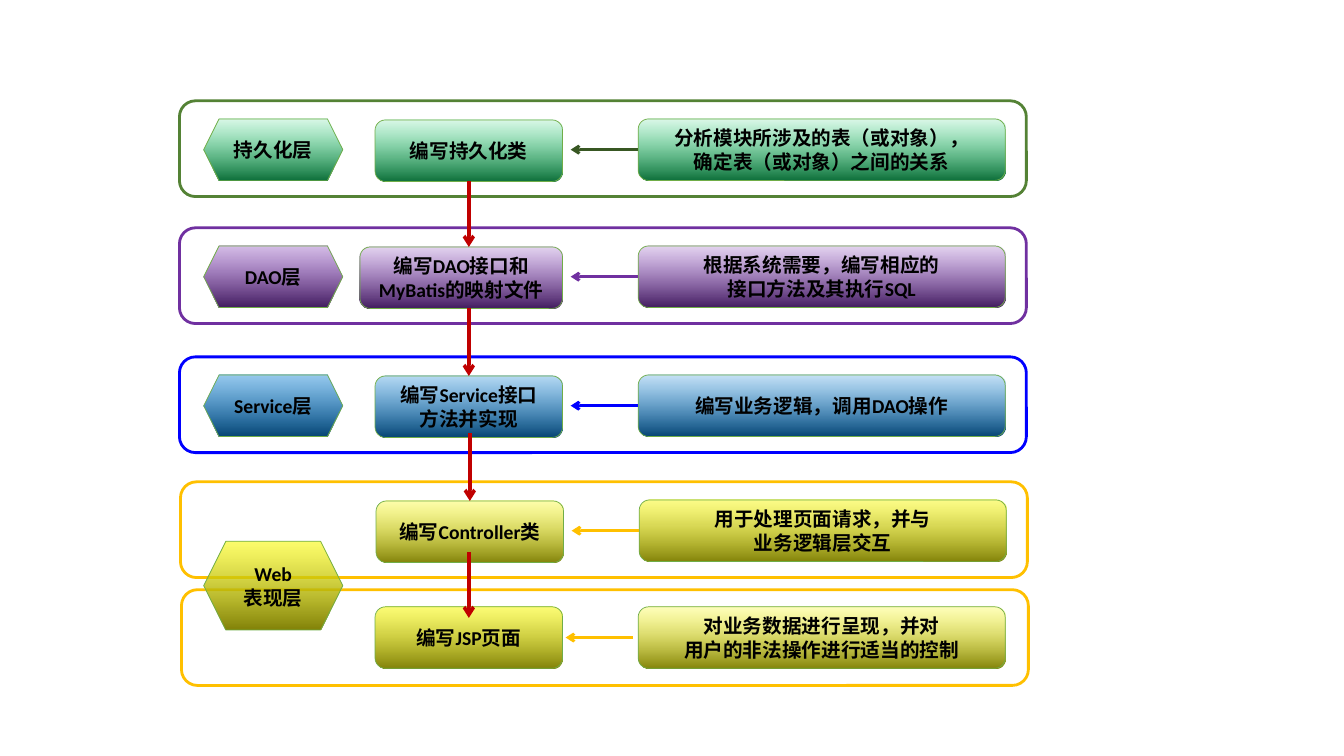
from lxml import etree
from pptx import Presentation
from pptx.dml.color import RGBColor
from pptx.enum.shapes import MSO_CONNECTOR, MSO_SHAPE
from pptx.enum.text import MSO_ANCHOR, PP_ALIGN
from pptx.oxml.ns import qn
from pptx.util import Inches, Pt

ROUNDED = MSO_SHAPE.ROUNDED_RECTANGLE
HEXAGON = MSO_SHAPE.HEXAGON
STRAIGHT = MSO_CONNECTOR.STRAIGHT
MIDDLE = MSO_ANCHOR.MIDDLE
CENTER = PP_ALIGN.CENTER
TOP, LEFT, BOTTOM = 0, 1, 2

BLACK = RGBColor(0x00, 0x00, 0x00)
LEAF = RGBColor(0x70, 0xAD, 0x47)
MOSS = RGBColor(0x54, 0x82, 0x35)
PINE = RGBColor(0x38, 0x57, 0x23)
VIOLET = RGBColor(0x70, 0x30, 0xA0)
BLUE = RGBColor(0x00, 0x00, 0xFF)
AMBER = RGBColor(0xFF, 0xC0, 0x00)
RED = RGBColor(0xC0, 0x00, 0x00)

# Gradients: upper colour, lower colour
GREEN_FADE = (RGBColor(0x14, 0xCD, 0x68), RGBColor(0x0B, 0x6E, 0x38))
PURPLE_FADE = (RGBColor(0x7B, 0x32, 0xB2), RGBColor(0x40, 0x1A, 0x5D))
BLUE_FADE = (RGBColor(0x00, 0x7B, 0xD3), RGBColor(0x03, 0x43, 0x73))
YELLOW_FADE = (RGBColor(0xFB, 0xFB, 0x11), RGBColor(0x83, 0x83, 0x09))

# Each box holds its text and the opacity (percent) of its upper colour.
# "shift" nudges the boxes of a row to the right.
ROWS = [
    dict(frame=(1.78, 1.0), shift=0, frame_color=MOSS, arrow_color=PINE,
         fade=GREEN_FADE, layer=("持久化层", 14), step=("编写持久化类", 14),
         detail=("分析模块所涉及的表（或对象），\n确定表（或对象）之间的关系", 14)),
    dict(frame=(1.78, 2.26), shift=0, frame_color=VIOLET, arrow_color=VIOLET,
         fade=PURPLE_FADE, layer=("DAO层", 31),
         step=("编写DAO接口和MyBatis的映射文件", 20),
         detail=("根据系统需要，编写相应的\n接口方法及其执行SQL", 20)),
    dict(frame=(1.78, 3.54), shift=0, frame_color=BLUE, arrow_color=BLUE,
         fade=BLUE_FADE, layer=("Service层", 40),
         step=("编写Service接口\n方法并实现", 28),
         detail=("编写业务逻辑，调用DAO操作", 22)),
    dict(frame=(1.79, 4.78), shift=0.01, frame_color=AMBER, arrow_color=AMBER,
         fade=YELLOW_FADE, layer=None, step=("编写Controller类", 34),
         detail=("用于处理页面请求，并与\n业务逻辑层交互", 49)),
    dict(frame=(1.8, 5.85), shift=0, frame_color=AMBER, arrow_color=AMBER,
         fade=YELLOW_FADE, layer=None, step=("编写JSP页面", 57),
         detail=("对业务数据进行呈现，并对\n用户的非法操作进行适当的控制", 28)),
]
WEB_LAYER = ("Web\n表现层", 61)
# Downward arrows: x, start y
DOWN_ARROWS = [(4.65, 1.8), (4.65, 3.06), (4.66, 4.3), (4.65, 5.48)]

FRAME_WIDTH, FRAME_HEIGHT = 8.4, 0.95
LAYER_LEFT, LAYER_WIDTH = 2.02, 1.38
STEP_RIGHT, STEP_WIDTH, WIDE_STEP_WIDTH = 5.58, 1.86, 2.01
DETAIL_LEFT, DETAIL_WIDTH = 6.33, 3.64
BOX_HEIGHT = 0.61
ARROW_LENGTH, DOWN_LENGTH = 0.67, 0.65

deck = Presentation()
deck.slide_width, deck.slide_height = Inches(13.33), Inches(7.5)
page = deck.slides.add_slide(deck.slide_layouts[6])


def add_outline(preset, left, top, width, height, color, weight):
    shape = page.shapes.add_shape(preset, Inches(left), Inches(top),
                                  Inches(width), Inches(height))
    shape.shadow.inherit = False
    shape.line.color.rgb = color
    shape.line.width = Pt(weight)
    shape.fill.background()
    return shape


def add_box(preset, left, top, width, height, content, fade):
    """Add a gradient box with bold centred text."""
    words, opacity = content
    box = add_outline(preset, left, top, width, height, LEAF, 0.5)
    box.fill.gradient()
    box.fill.gradient_angle = 270
    for stop, color, position in zip(box.fill.gradient_stops, fade, (0, 1)):
        stop.color.rgb = color
        stop.position = position
    upper = box._element.spPr.find(qn("a:gradFill")).find(".//" + qn("a:srgbClr"))
    etree.SubElement(upper, qn("a:alpha"), val=str(opacity * 1000))
    frame = box.text_frame
    frame.text = words
    frame.word_wrap = True
    frame.vertical_anchor = MIDDLE
    for para in frame.paragraphs:
        para.alignment = CENTER
        for span in para.runs:
            span.font.name = "Calibri"
            span.font.size = Pt(14)
            span.font.bold = True
            span.font.color.rgb = BLACK
    return box


def add_arrow(start, end, color, weight):
    arrow = page.shapes.add_connector(STRAIGHT, *map(Inches, start + end))
    arrow.line.color.rgb = color
    arrow.line.width = Pt(weight)
    etree.SubElement(arrow.line._get_or_add_ln(), qn("a:tailEnd"), type="arrow")
    etree.SubElement(arrow._element.spPr, qn("a:effectLst"))
    return arrow


for row in ROWS:
    add_outline(ROUNDED, *row["frame"], FRAME_WIDTH, FRAME_HEIGHT,
                row["frame_color"], 2)

steps = []
for index, row in enumerate(ROWS):
    last = index == len(ROWS) - 1
    fade, shift = row["fade"], row["shift"]
    top = row["frame"][1] + (0.17 if last else 0.18)
    if row["layer"]:
        add_box(HEXAGON, LAYER_LEFT, top, LAYER_WIDTH, BOX_HEIGHT, row["layer"], fade)
    step_width = WIDE_STEP_WIDTH if index == 1 else STEP_WIDTH
    step_top = top if last else top + 0.01
    steps.append(add_box(ROUNDED, STEP_RIGHT - step_width + shift, step_top,
                         step_width, BOX_HEIGHT, row["step"], fade))
    detail_left = DETAIL_LEFT + shift
    detail = add_box(ROUNDED, detail_left, top, DETAIL_WIDTH, BOX_HEIGHT,
                     row["detail"], fade)
    arrow_left = detail_left - (0.05 if last else 0)
    middle = top + BOX_HEIGHT / 2
    arrow = add_arrow((arrow_left, middle), (arrow_left - ARROW_LENGTH, middle),
                      row["arrow_color"], 2)
    if not last:
        arrow.begin_connect(detail, LEFT)

add_box(HEXAGON, LAYER_LEFT, 5.37, LAYER_WIDTH, 0.88, WEB_LAYER, YELLOW_FADE)

down = [add_arrow((x, y), (x, y + DOWN_LENGTH), RED, 2.5) for x, y in DOWN_ARROWS]
down[0].begin_connect(steps[0], BOTTOM)
down[1].end_connect(steps[2], TOP)
down[2].end_connect(steps[3], TOP)

deck.save("out.pptx")
